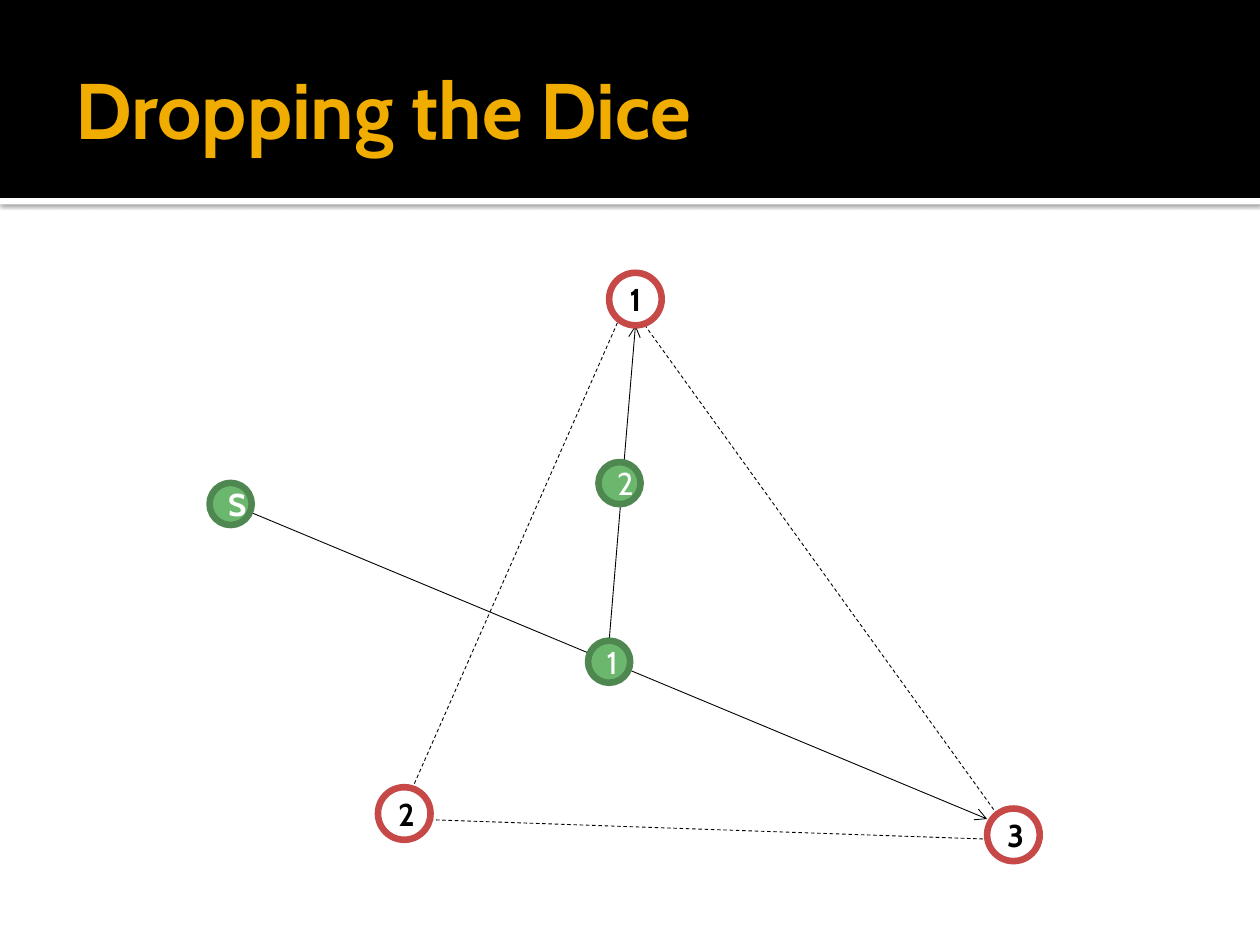
from lxml.etree import SubElement
from pptx import Presentation
from pptx.dml.color import RGBColor
from pptx.enum.dml import MSO_LINE
from pptx.enum.shapes import MSO_CONNECTOR, MSO_SHAPE
from pptx.enum.text import MSO_ANCHOR, PP_ALIGN
from pptx.oxml.ns import qn
from pptx.util import Cm, Pt

BLACK = RGBColor(0x00, 0x00, 0x00)
WHITE = RGBColor(0xFF, 0xFF, 0xFF)
AMBER = RGBColor(0xF0, 0xAD, 0x00)
GREEN = RGBColor(0x6B, 0xB7, 0x6D)
DARK_GREEN = RGBColor(0x4F, 0x87, 0x51)
RED = RGBColor(0xC6, 0x48, 0x47)

# Content: all lengths in cm
TITLE = "Dropping the Dice"
WIDTH, HEIGHT, BANNER_HEIGHT, RULE_HEIGHT = 25.4, 19.05, 3.99, 0.13

MOVES = [  # from, to
    ((4.65, 10.16), (19.9, 16.51)),
    ((12.28, 12.91), (12.81, 6.56)),
]
TRIANGLE_SIDES = [
    ((12.7, 5.93), (8.04, 16.51)),
    ((12.7, 6.14), (20.32, 16.72)),
    ((20.32, 16.93), (8.26, 16.51)),
]
CORNER = {"size": 1.06, "fill": WHITE, "line": RED, "text": BLACK}
STEP = {"size": 0.85, "fill": GREEN, "line": DARK_GREEN, "text": WHITE}
POINTS = [  # label, centre, style, bold
    ("S", (4.65, 10.16), STEP, True),
    ("2", (12.49, 9.74), STEP, False),
    ("1", (12.81, 6.03), CORNER, True),
    ("2", (8.15, 16.4), CORNER, True),
    ("3", (20.43, 16.83), CORNER, True),
    ("1", (12.28, 13.34), STEP, False),
]


def write(paragraph, text, size, color, bold):
    run = paragraph.add_run()
    run.text = text
    font_format = {"name": "Cabin", "size": Pt(size), "bold": bold}
    for key, value in font_format.items():
        setattr(run.font, key, value)
    run.font.color.rgb = color


def add_band(slide, top, height, color):
    band = slide.shapes.add_shape(
        MSO_SHAPE.RECTANGLE, 0, Cm(top), Cm(WIDTH), Cm(height))
    band.shadow.inherit = False
    band.fill.solid()
    band.fill.fore_color.rgb = color
    band.line.fill.background()
    return band


def add_rule_shadow(rule):
    effects = rule.element.spPr.find(qn("a:effectLst"))
    shadow = SubElement(effects, qn("a:outerShdw"), blurRad=str(Pt(2.5)),
                        dist=str(Pt(0.8)), dir="5400000", rotWithShape="0")
    color = SubElement(shadow, qn("a:srgbClr"), val=str(BLACK))
    SubElement(color, qn("a:alpha"), val="60000")


def add_title(slide):
    title = slide.shapes.add_textbox(Cm(1.27), Cm(0.43), Cm(22.86), Cm(3.48))
    frame_format = {
        "word_wrap": True, "vertical_anchor": MSO_ANCHOR.MIDDLE,
        "margin_left": Cm(0.25), "margin_right": Cm(0.13),
        "margin_top": Cm(0.13), "margin_bottom": Cm(0.13),
    }
    for key, value in frame_format.items():
        setattr(title.text_frame, key, value)
    write(title.text_frame.paragraphs[0], TITLE, 45, AMBER, True)


def add_path_line(slide, start, end, dashed):
    path_line = slide.shapes.add_connector(
        MSO_CONNECTOR.STRAIGHT, *(Cm(v) for v in start + end))
    path_line.line.color.rgb = BLACK
    path_line.line.width = Pt(0.5)
    if dashed:
        path_line.line.dash_style = MSO_LINE.DASH
    else:
        SubElement(path_line.line._get_or_add_ln(), qn("a:tailEnd"), type="arrow")
    SubElement(path_line.element.spPr, qn("a:effectLst"))


def add_point(slide, label, centre, style, bold):
    size = style["size"]
    left, top = (Cm(v - size / 2) for v in centre)
    point = slide.shapes.add_shape(
        MSO_SHAPE.OVAL, left, top, Cm(size), Cm(size))
    point.shadow.inherit = False
    point.fill.solid()
    point.fill.fore_color.rgb = style["fill"]
    point.line.color.rgb = style["line"]
    point.line.width = Pt(3.78)
    point.text_frame.vertical_anchor = MSO_ANCHOR.MIDDLE
    paragraph = point.text_frame.paragraphs[0]
    paragraph.alignment = PP_ALIGN.CENTER
    write(paragraph, label, 18, style["text"], bold)


def main():
    deck = Presentation()
    deck.slide_width, deck.slide_height = Cm(WIDTH), Cm(HEIGHT)
    slide = deck.slides.add_slide(deck.slide_layouts[6])

    # Banner with the title
    add_rule_shadow(add_band(slide, BANNER_HEIGHT, RULE_HEIGHT, WHITE))
    add_band(slide, 0, BANNER_HEIGHT, BLACK)
    add_title(slide)

    # Lines first, so that the points cover their ends
    for lines, dashed in ((MOVES, False), (TRIANGLE_SIDES, True)):
        for start, end in lines:
            add_path_line(slide, start, end, dashed)
    for point in POINTS:
        add_point(slide, *point)

    deck.save("out.pptx")


if __name__ == "__main__":
    main()
